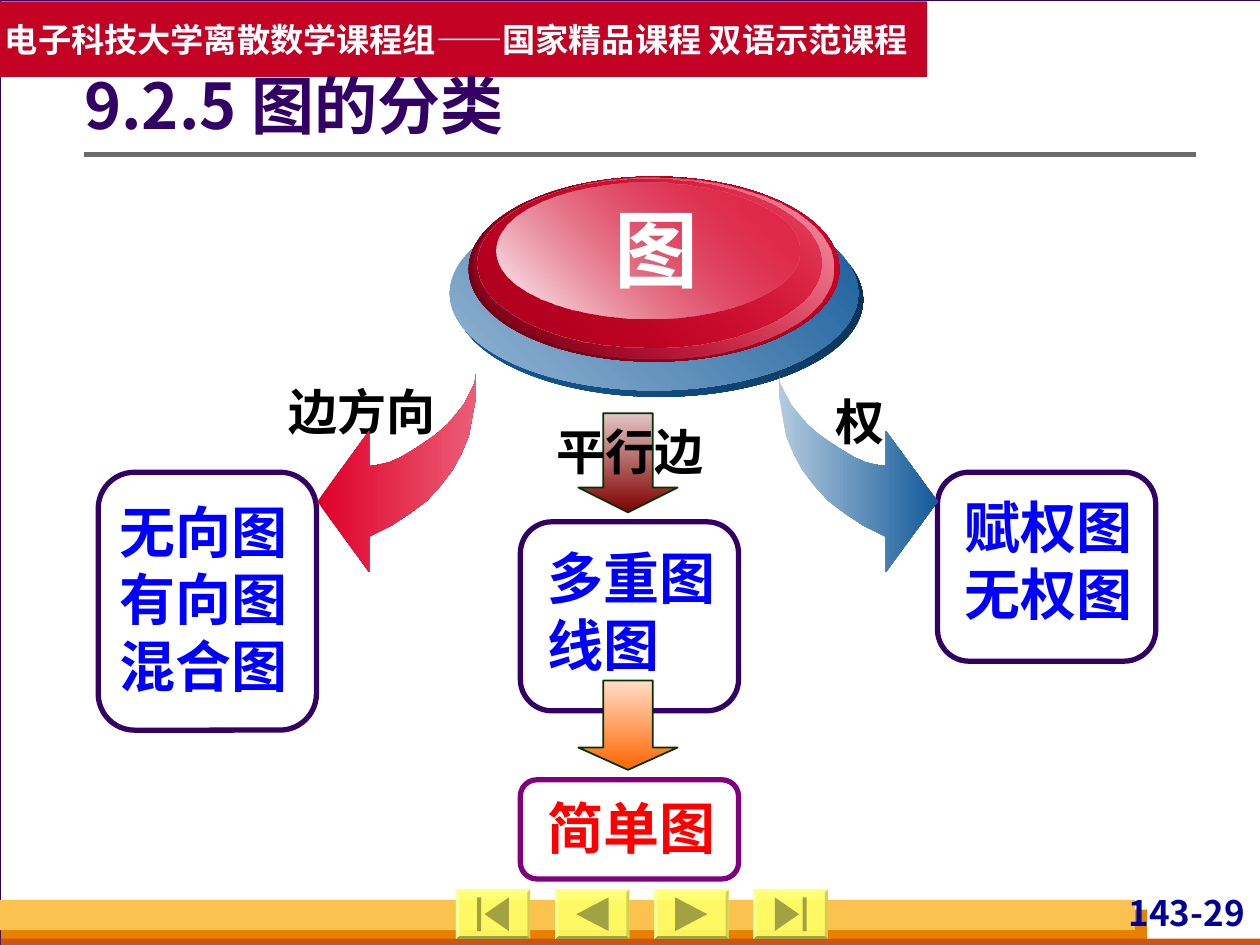
from dataclasses import dataclass

from lxml import etree
from pptx import Presentation
from pptx import util as u
from pptx.dml import color
from pptx.enum import shapes, text
from pptx.oxml import ns

Cm = u.Cm
SHAPE = shapes.MSO_SHAPE
ALIGN = text.PP_ALIGN


@dataclass(frozen=True)
class Theme:
    font: str = "Noto Sans CJK SC"
    symbol_font: str = "Arial"
    white: str = "FFFFFF"
    black: str = "000000"
    purple: str = "330066"
    violet: str = "800080"
    blue: str = "0000FF"
    navy: str = "000099"
    red: str = "FF0000"
    banner: str = "C30224"
    rule: str = "6B6B6B"
    arrow_line: str = "003300"
    orange: str = "E88000"
    rust: str = "C95616"
    gold: str = "FCC24F"
    button: str = "FFFF66"
    bevels: tuple = ("FFFF85", "CCCC52", "999940", "FFFFA3")
    icon: str = "999940"
    title_size: int = 36
    banner_size: int = 19
    page_size: int = 20
    label_size: int = 28
    box_size: int = 32
    symbol_size: int = 48


THEME = Theme()


# Formatting helpers
def rgb(value):
    return color.RGBColor.from_string(value)


def paint(shape, fill=None, line=None, width=1, alpha=None):
    shape.shadow.inherit = False
    if isinstance(fill, tuple):
        paint_gradient(shape, *fill)
    elif fill:
        shape.fill.solid()
        shape.fill.fore_color.rgb = rgb(fill)
        if alpha:
            add_alpha(shape.fill._xPr.find(".//" + ns.qn("a:srgbClr")), alpha)
    else:
        shape.fill.background()
    if line:
        shape.line.color.rgb = rgb(line)
        shape.line.width = u.Pt(width)
    else:
        shape.line.fill.background()


def add_alpha(element, percent):
    etree.SubElement(element, ns.qn("a:alpha")).set("val", str(percent * 1000))


def paint_gradient(shape, angle, *stops):
    """Each stop is a colour and its opacity in percent."""
    shape.fill.gradient()
    gradient = shape.fill._xPr.find(ns.qn("a:gradFill"))
    for child in list(gradient):
        gradient.remove(child)
    stop_list = etree.SubElement(gradient, ns.qn("a:gsLst"))
    for position, (value, opacity) in zip((0, 100000), stops):
        stop = etree.SubElement(stop_list, ns.qn("a:gs"), pos=str(position))
        colour = etree.SubElement(stop, ns.qn("a:srgbClr"), val=value)
        if opacity < 100:
            add_alpha(colour, opacity)
    etree.SubElement(gradient, ns.qn("a:lin"), ang=str(angle * 60000), scaled="0")


def add_preset(slide, kind, box, **style):
    shape = slide.shapes.add_shape(kind, *map(Cm, box))
    paint(shape, **style)
    return shape


def add_polygon(slide, left, top, points, **style):
    corners = [(Cm(left + x), Cm(top + y)) for x, y in points]
    builder = slide.shapes.build_freeform(*corners[0])
    builder.add_line_segments(corners[1:])
    shape = builder.convert_to_shape()
    paint(shape, **style)
    return shape


def write(shape, lines, size, ink, align=ALIGN.LEFT, font=THEME.font,
          insets=(0.25, 0.13), anchor=text.MSO_ANCHOR.TOP, spacing=None):
    frame = shape.text_frame
    frame.word_wrap = True
    frame.auto_size = text.MSO_AUTO_SIZE.NONE
    frame.vertical_anchor = anchor
    frame.margin_left = frame.margin_right = Cm(insets[0])
    frame.margin_top = frame.margin_bottom = Cm(insets[1])
    for number, line in enumerate(lines):
        paragraph = frame.add_paragraph() if number else frame.paragraphs[0]
        paragraph.alignment = align
        paragraph.space_before = u.Pt(0)
        if spacing:
            paragraph.line_spacing = spacing
        run = paragraph.add_run()
        run.text = line
        run.font.size, run.font.bold, run.font.name = u.Pt(size), True, font
        run.font.color.rgb = rgb(ink)
        etree.SubElement(run._r.rPr, ns.qn("a:ea"), typeface=font)


def add_text(slide, box, *args, **style):
    write(slide.shapes.add_textbox(*map(Cm, box)), *args, **style)


def move_placeholder(slide, placeholder, box):
    """Sets the box and brings the placeholder to the front."""
    placeholder.left, placeholder.top, placeholder.width, placeholder.height = map(Cm, box)
    slide.shapes._spTree.append(placeholder._element)


# Regions
def draw_frame(slide):
    add_preset(slide, SHAPE.RECTANGLE, (0, 0, 25.42, 19.05),
               fill=THEME.white, line=THEME.purple, width=0.75)
    for box, fill in (((0.02, 18.34, 23.1, 0.71), THEME.orange),
                      ((0.02, 18.92, 25.4, 0.2), THEME.rust),
                      ((0, 18.14, 22.88, 0.61), THEME.gold)):
        add_preset(slide, SHAPE.RECTANGLE, box, fill=fill)
    add_text(slide, (22.1, 17.98, 3.1, 0.97), ["143-29"], THEME.page_size,
             THEME.navy, ALIGN.RIGHT, insets=(0.1, 0))


def draw_button(slide, left, top, icons, mirrored):
    width, height, edge = 1.5, 1, 0.06
    outer = [(0, 0), (width, 0), (width, height), (0, height)]
    inner = [(edge, edge), (width - edge, edge),
             (width - edge, height - edge), (edge, height - edge)]
    add_polygon(slide, left, top, outer, fill=THEME.button, alpha=90)
    for side, shade in enumerate(THEME.bevels):
        after = (side + 1) % 4
        add_polygon(slide, left, top, [outer[side], outer[after], inner[after], inner[side]],
                    fill=shade, alpha=90)
    for icon in icons:
        points = [(width - x if mirrored else x, y) for x, y in icon]
        add_polygon(slide, left, top, points, fill=THEME.icon, alpha=90)


def draw_navigation(slide, left, top):
    step = [[(0.43, 0.5), (1.08, 0.16), (1.08, 0.84)]]
    jump = [[(0.58, 0.5), (1.07, 0.16), (1.07, 0.84)],
            [(0.43, 0.16), (0.51, 0.16), (0.51, 0.84), (0.43, 0.84)]]
    buttons = ((jump, False), (step, False), (step, True), (jump, True))
    for column, (icons, mirrored) in enumerate(buttons):
        draw_button(slide, left + 2 * column, top, icons, mirrored)


def draw_header(slide):
    banner = add_preset(slide, SHAPE.RECTANGLE, (0, 0.03, 18.69, 1.52), fill=THEME.banner)
    write(banner, ["电子科技大学离散数学课程组——国家精品课程 双语示范课程"],
          THEME.banner_size, THEME.white, insets=(0.1, 0.13), anchor=text.MSO_ANCHOR.MIDDLE)
    rule = slide.shapes.add_connector(shapes.MSO_CONNECTOR.STRAIGHT,
                                      Cm(1.7), Cm(3.12), Cm(24.1), Cm(3.12))
    rule.line.color.rgb = rgb(THEME.rule)
    rule.line.width = u.Pt(3)
    etree.SubElement(rule._element.spPr, ns.qn("a:effectLst"))
    title = slide.shapes.title
    move_placeholder(slide, title, (1.7, 0.91, 22.4, 2.57))
    write(title, ["9.2.5 图的分类"], THEME.title_size, THEME.purple,
          insets=(0, 0.13), anchor=text.MSO_ANCHOR.MIDDLE, spacing=0.9)


def draw_disc(slide, left, top):
    layers = (((0.1, 0.53, 8.23, 3.91), ("135A9A", 100), ("092C4B", 100)),
              ((0, 0.4, 8.23, 3.91), ("96B6D2", 100), ("135A9A", 100)),
              ((0.38, 0, 7.47, 3.73), ("670013", 100), ("DF0029", 100)),
              ((0.48, 0.03, 7.26, 3.63), ("DF0029", 0), ("F4A6B4", 100)),
              ((0.56, 0.05, 6.93, 3.4), ("B10020", 100), ("DF0029", 48)),
              ((0.94, 0.13, 6.1, 2.74), ("FFFFFF", 100), ("DF0029", 38)))
    for (x, y, width, height), start, end in layers:
        add_preset(slide, SHAPE.OVAL, (left + x, top + y, width, height),
                   fill=(315, start, end))
    add_text(slide, (left + 3.07, top + 0.3, 2.2, 2.29), ["图"], THEME.symbol_size,
             THEME.white, ALIGN.CENTER, font=THEME.symbol_font)


def draw_curved_arrow(slide, left, top, start, end, mirrored=False):
    xs = (0, 0, 0.08, 0.15, 0.3, 0.48, 0.71, 0.99, 1.32, 1.7, 2.16, 2.16, 3.2, 2.16,
          2.16, 1.96, 1.75, 1.52, 1.27, 1.04, 0.81, 0.58, 0.41, 0.25, 0.13, 0.03)
    ys = (0, 0.46, 0.89, 1.27, 1.63, 1.96, 2.26, 2.57, 2.82, 3.07, 3.3, 4.01, 2.59, 1.17,
          1.88, 1.85, 1.8, 1.7, 1.55, 1.4, 1.24, 1.04, 0.84, 0.64, 0.41, 0.2)
    points = [(3.2 - x if mirrored else x, y) for x, y in zip(xs, ys)]
    add_polygon(slide, left, top, points, fill=(0, (start, 100), (end, 100)))


def draw_down_arrow(slide, left, top, height, start, end):
    arrow = add_preset(slide, SHAPE.DOWN_ARROW, (left, top, 2, height),
                       fill=(90, (start, 100), (end, 100)), line=THEME.arrow_line)
    arrow.adjustments[0], arrow.adjustments[1] = 0.5, 0.25 * 2 / height if height > 2 else 0.25


def draw_class_box(slide, left, top, height, lines, offset,
                   ink=THEME.blue, line=THEME.purple):
    add_preset(slide, SHAPE.ROUNDED_RECTANGLE, (left, top, 4.4, height), line=line, width=3)
    x, y = offset
    add_text(slide, (left + x, top + y, 3.92, height - 2 * y), lines, THEME.box_size, ink)


def draw_label(slide, left, top, label, placeholder=None):
    box = (left, top, 3.61, 1.68)
    style = ([label], THEME.label_size, THEME.black, ALIGN.CENTER)
    if placeholder is None:
        add_text(slide, box, *style, spacing=1.2)
        return
    move_placeholder(slide, placeholder, box)
    properties = placeholder.text_frame.paragraphs[0]._p.get_or_add_pPr()
    properties.set("marL", "0")
    properties.set("indent", "0")
    etree.SubElement(properties, ns.qn("a:buNone"))
    write(placeholder, *style, spacing=1.2)


def draw_classification(slide):
    # Edge direction
    draw_label(slide, 5.49, 7.32, "边方向", slide.placeholders[1])
    draw_class_box(slide, 1.98, 9.52, 5.2, ["无向图", "有向图", "混合图"], (0.18, 0.38))
    draw_curved_arrow(slide, 6.4, 7.52, "DF0029", "EB5D77", mirrored=True)
    draw_disc(slide, 9.07, 3.56)
    # Weight
    draw_class_box(slide, 18.9, 9.52, 3.81, ["赋权图无权图"], (0.3, 0.28))
    draw_curved_arrow(slide, 15.7, 7.52, "B4CBDF", "135A9A")
    draw_label(slide, 15.54, 7.52, "权")
    # Parallel edges
    draw_class_box(slide, 10.49, 10.52, 3.81, ["多重图", "线图"], (0.3, 0.3))
    draw_down_arrow(slide, 11.66, 8.33, 2, "E3C6C6", "800000")
    draw_class_box(slide, 10.49, 15.72, 2, ["简单图"], (0.3, 0.15), THEME.red, THEME.violet)
    draw_down_arrow(slide, 11.66, 13.72, 1.8, "FFDDC6", "FF6600")
    draw_label(slide, 10.9, 8.13, "平行边")


def main():
    presentation = Presentation()
    presentation.slide_width, presentation.slide_height = Cm(25.4), Cm(19.05)
    slide = presentation.slides.add_slide(presentation.slide_layouts[1])
    slide.background.fill.solid()
    slide.background.fill.fore_color.rgb = rgb("D8DADA")
    draw_frame(slide)
    draw_navigation(slide, 9.19, 17.93)
    draw_header(slide)
    draw_classification(slide)
    presentation.save("out.pptx")


if __name__ == "__main__":
    main()
